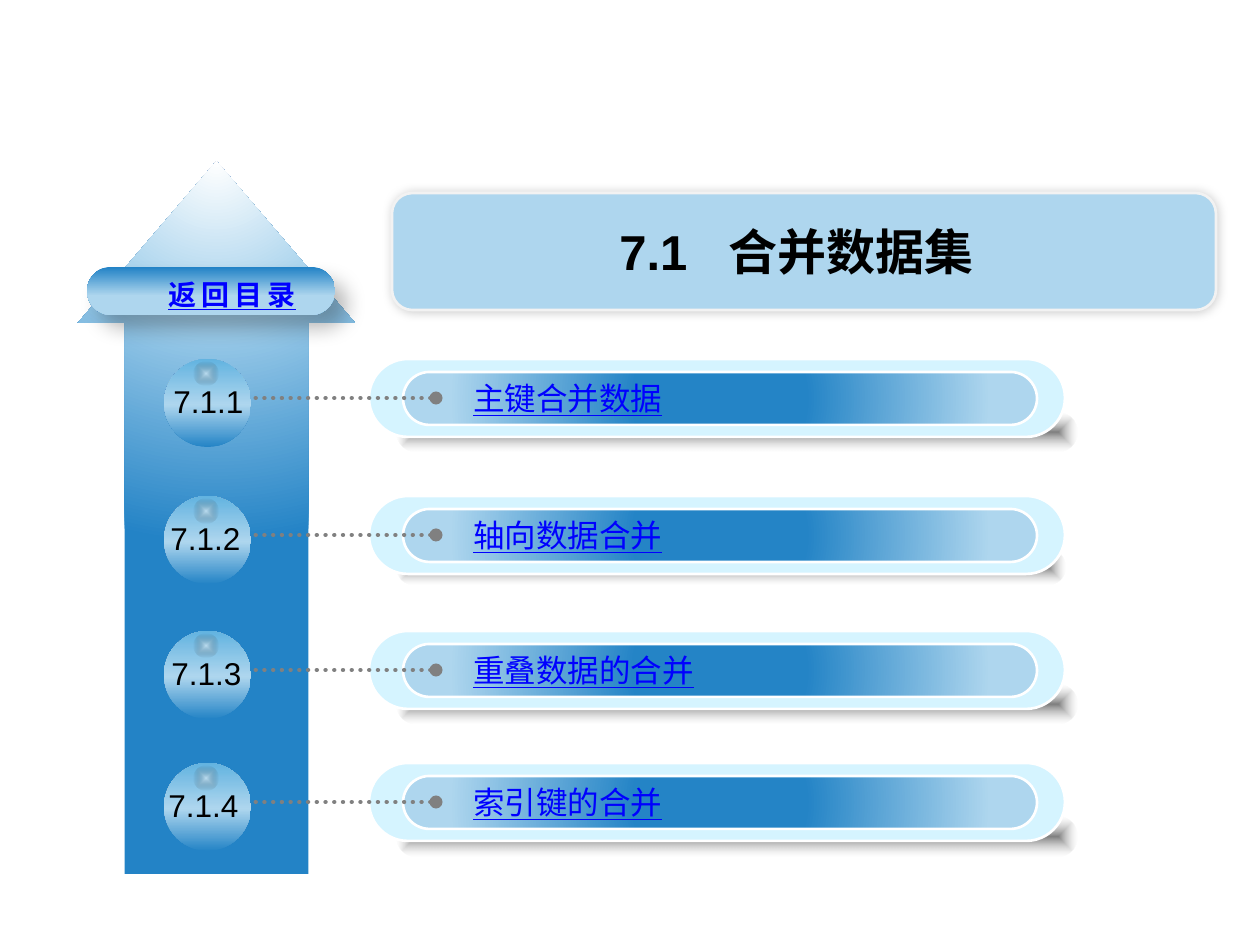
from lxml.etree import SubElement
from pptx import Presentation
from pptx.dml.color import RGBColor
from pptx.enum.dml import MSO_LINE as Dash
from pptx.enum.shapes import MSO_CONNECTOR as Connector, MSO_SHAPE as Kind
from pptx.enum.text import MSO_AUTO_SIZE as AutoSize, PP_ALIGN as Align
from pptx.oxml.ns import qn
from pptx.util import Emu, Pt

SCALE = 914400 / 126
LATIN, CJK = "Arial", "Noto Sans CJK SC"
COLORS = {
    "white": "FFFFFF", "black": "000000", "light": "AED6EE", "blue": "2383C6",
    "bar": "2484C6", "sky": "62B3E0", "ice": "D5F4FF", "border": "F2F2F2",
    "gray": "808080", "silver": "B0B0B0", "link": "0000FF",
}
CENTER = (50, 50, 50, 50)
ROWS = [
    ("7.1.1", "主键合并数据", 359, 161, (680, 39)),
    ("7.1.2", "轴向数据合并", 496, 158, (668, 35)),
    ("7.1.3", "重叠数据的合并", 631, 159, (680, 39)),
    ("7.1.4", "索引键的合并", 763, 156, (680, 39)),
]


def px(*lengths):
    """Turn pixel lengths into EMU."""
    return [Emu(round(length * SCALE)) for length in lengths]


def rgb(name):
    """Look up a named colour."""
    return RGBColor.from_string(COLORS[name])


def add_color(parent, name, alpha=100):
    """Append a colour element, with its opacity in percent."""
    color = SubElement(parent, qn("a:srgbClr"), val=COLORS[name])
    if alpha < 100:
        SubElement(color, qn("a:alpha"), val=str(alpha * 1000))


def set_gradient(shape, stops, angle=None, path="circle", focus=CENTER):
    """Fill a shape with a linear gradient, or a path gradient without an angle."""
    shape.fill.background()
    properties = shape._element.spPr
    blank = properties.find(qn("a:noFill"))
    gradient = SubElement(properties, qn("a:gradFill"), rotWithShape="1")
    properties.replace(blank, gradient)
    stop_list = SubElement(gradient, qn("a:gsLst"))
    for position, *color in stops:
        add_color(SubElement(stop_list, qn("a:gs"), pos=str(position * 1000)), *color)
    if angle is not None:
        SubElement(gradient, qn("a:lin"), ang=str(angle * 60000), scaled="1")
        return
    route = SubElement(gradient, qn("a:path"), path=path)
    sides = {side: str(value * 1000) for side, value in zip("ltrb", focus)}
    SubElement(route, qn("a:fillToRect"), **sides)


def add_shadow(shape, alpha, blur, distance, angle):
    """Give a shape a soft black outer shadow."""
    effects = shape._element.spPr.find(qn("a:effectLst"))
    shadow = SubElement(
        effects, qn("a:outerShdw"), blurRad=str(Pt(blur)), dist=str(Pt(distance)),
        dir=str(angle * 60000), algn="ctr", rotWithShape="0")
    add_color(shadow, "black", alpha)


def add_shape(parent, kind, bounds, fill=None, line=None, adjust=()):
    """Add a preset shape with an optional plain fill and outline."""
    shape = parent.shapes.add_shape(kind, *px(*bounds))
    shape.shadow.inherit = False
    for index, value in enumerate(adjust):
        shape.adjustments[index] = value
    if fill:
        shape.fill.solid()
        shape.fill.fore_color.rgb = rgb(fill)
    if line:
        shape.line.color.rgb = rgb(line)
        shape.line.width = Pt(1.5)
    else:
        shape.line.fill.background()
    return shape


def add_pill(parent, bounds, **style):
    """Add a rectangle with fully rounded ends."""
    return add_shape(parent, Kind.ROUNDED_RECTANGLE, bounds, adjust=[0.5], **style)


def add_text(page, bounds, words, size, latin=LATIN, color="black", bold=False,
             underline=False, align=Align.LEFT, wrap=True, spacing=0):
    """Add a one-paragraph text box; each word is a run and is returned."""
    frame = page.shapes.add_textbox(*px(*bounds)).text_frame
    frame.word_wrap = wrap
    frame.auto_size = AutoSize.SHAPE_TO_FIT_TEXT
    para = frame.paragraphs[0]
    para.alignment = align
    font = para.font
    font.size, font.name, font.bold, font.underline = Pt(size), latin, bold, underline
    font.color.rgb = rgb(color)
    defaults = para._p.pPr.find(qn("a:defRPr"))
    SubElement(defaults, qn("a:ea"), typeface=CJK)
    if spacing:
        defaults.set("spc", str(spacing * 100))
    spans = [para.add_run() for _ in words]
    for span, word in zip(spans, words):
        span.text = word
    return spans


def add_dotted_line(parent, start, end):
    """Add a dotted line with a round head at its start."""
    line = parent.shapes.add_connector(Connector.STRAIGHT, *px(*start, *end))
    line.line.color.rgb = rgb("gray")
    line.line.width = Pt(2.5)
    line.line.dash_style = Dash.ROUND_DOT
    properties = line._element.spPr
    outline = properties.find(qn("a:ln"))
    outline.set("cap", "rnd")
    SubElement(outline, qn("a:headEnd"), type="oval")
    SubElement(properties, qn("a:effectLst"))


def add_row(page, number, label, top, number_left, shadow_size):
    """Add one section entry: bar, dotted line, ball, number and label."""
    group = page.shapes.add_group_shape()
    shade = add_pill(group, (397, top + 54, *shadow_size))
    set_gradient(shade, [(0, "black", 50), (100, "silver", 0)], path="shape")
    add_pill(group, (369, top, 696, 78), fill="ice", line="white")
    bar = add_pill(group, (403, top + 13, 634, 53), line="white")
    set_gradient(bar, [(27, "bar"), (85, "light")])
    add_dotted_line(group, (436, top + 39), (229, top + 39))
    ball = add_shape(group, Kind.OVAL, (164, top, 87, 88))
    set_gradient(ball, [(0, "bar"), (48, "light"), (100, "sky")], angle=270)
    glint = add_shape(group, Kind.OVAL, (194, top + 3, 24, 24))
    set_gradient(glint, [(0, "white", 50), (100, "black", 0)], path="shape")
    add_text(page, (number_left, top + 17, 110, 50), [number], 18)
    add_text(page, (461, top + 14, 552, 50), [label], 18, CJK, "link", underline=True)


def add_arrow(page):
    """Add the tall arrow behind the section numbers."""
    arrow = add_shape(page, Kind.UP_ARROW, (78, 161, 277, 713), adjust=[0.663, 0.584])
    set_gradient(arrow, [(0, "white"), (35, "light"), (100, "blue")],
                 focus=(50, -80, 50, 180))


def add_title(page):
    """Add the title panel and its heading."""
    panel = add_shape(page, Kind.ROUNDED_RECTANGLE, (392, 193, 824, 117),
                      fill="light", line="border", adjust=[0.174])
    add_shadow(panel, 20, 6, 0, 225)
    spans = add_text(page, (392, 215, 809, 72), ["7.1", " ", "合并数据集"], 28,
                     bold=True, align=Align.CENTER)
    spans[1].font._element.set("spc", "1600")


def add_return_button(page):
    """Add the button that leads back to the contents."""
    button = add_pill(page, (87, 267, 248, 48))
    set_gradient(button, [(1, "blue"), (60, "light")], angle=90)
    add_shadow(button, 28, 11.8, 10, 48)
    add_text(page, (152, 271, 160, 47), ["返回目录"], 16, CJK, "link", bold=True,
             underline=True, align=Align.CENTER, wrap=False, spacing=3)


def main():
    """Build and save the section overview."""
    deck = Presentation()
    deck.slide_width, deck.slide_height = px(1260, 945)
    page = deck.slides.add_slide(deck.slide_layouts[6])
    add_arrow(page)
    add_title(page)
    add_return_button(page)
    for row in ROWS:
        add_row(page, *row)
    deck.save("out.pptx")


if __name__ == "__main__":
    main()
